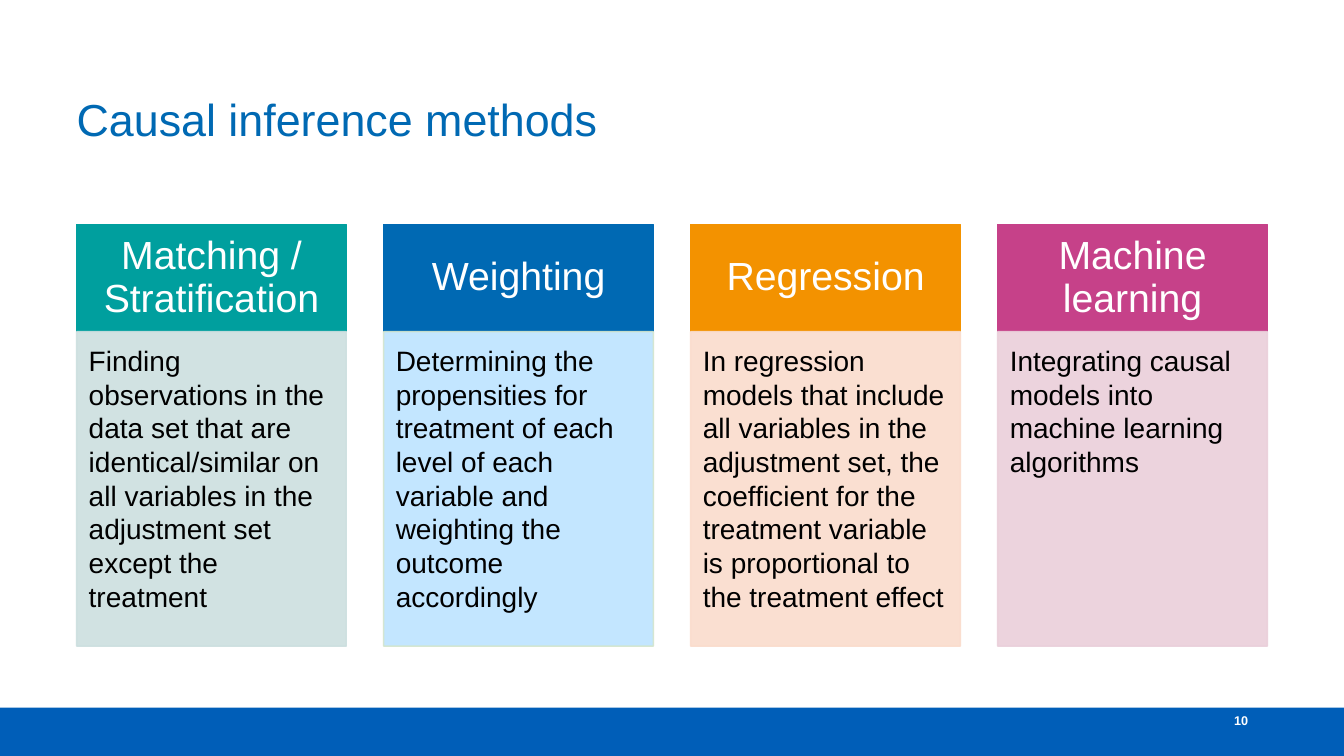
from dataclasses import dataclass
from lxml.etree import SubElement
from pptx import Presentation
from pptx.dml.color import RGBColor
from pptx.enum.shapes import MSO_SHAPE
from pptx.enum.text import MSO_ANCHOR, PP_ALIGN
from pptx.oxml.ns import qn
from pptx.util import Inches, Pt


@dataclass(frozen=True)
class Theme:
    font: str = "Arial"
    blue: str = "0069B3"
    bar: str = "005EB8"
    white: str = "FFFFFF"
    black: str = "000000"
    title: int = 32
    head: int = 28
    body: int = 20
    page: int = 9


THEME = Theme()
WIDE, HIGH = 13.33, 7.5
LEFT, SPAN = 0.76, 11.81
GAP = 0.37

# Head, head colour, body colour, body edge, body text
CARDS = [
    ("Matching / Stratification", "009F9E", "CCDFDF", "CCDFDF",
     "Finding observations in the data set that are identical/similar "
     "on all variables in the adjustment set except the treatment"),
    ("Weighting", THEME.blue, "BDE4FF", "D3E5CD",
     "Determining the propensities for treatment of each level of each "
     "variable and weighting the outcome accordingly"),
    ("Regression", "F39200", "FADCCC", "FADCCC",
     "In regression models that include all variables in the adjustment "
     "set, the coefficient for the treatment variable is proportional to "
     "the treatment effect"),
    ("Machine learning", "C64189", "EACFDA", "EACFDA",
     "Integrating causal models into machine learning algorithms"),
]


def tint(fill, color, alpha=100):
    fill.solid()
    fill.fore_color.rgb = RGBColor.from_string(color)
    if alpha < 100:
        for node in fill._xPr.iter(qn("a:srgbClr")):
            SubElement(node, qn("a:alpha"), val=str(alpha * 1000))


def block(slide, box, color, edge=None, alpha=100):
    shape = slide.shapes.add_shape(MSO_SHAPE.RECTANGLE, *map(Inches, box))
    shape.shadow.inherit = False
    tint(shape.fill, color, alpha)
    if edge:
        shape.line.width = Pt(1)
        tint(shape.line.fill, edge, alpha)
    else:
        shape.line.fill.background()
    return shape


def write(shape, text, size, color, bold=False, align=PP_ALIGN.LEFT,
          anchor=MSO_ANCHOR.TOP, inset=(0, 0, 0, 0), lead=1.0):
    frame = shape.text_frame
    frame.word_wrap = True
    frame.vertical_anchor = anchor
    (frame.margin_left, frame.margin_top,
     frame.margin_right, frame.margin_bottom) = map(Inches, inset)
    para = frame.paragraphs[0]
    para.alignment, para.line_spacing = align, lead
    run = para.add_run()
    run.text = text
    run.font.name, run.font.size, run.font.bold = THEME.font, Pt(size), bold
    run.font.color.rgb = RGBColor.from_string(color)


def label(slide, box, text, size, color, **form):
    area = slide.shapes.add_textbox(*map(Inches, box))
    write(area, text, size, color, **form)


def card(slide, box, head, color, pale, edge, body):
    x, y, w, h = box
    top = 1.06
    cap = block(slide, (x, y, w, top), color, color)
    write(cap, head, THEME.head, THEME.white, align=PP_ALIGN.CENTER,
          anchor=MSO_ANCHOR.MIDDLE, inset=(0.22, 0.12, 0.22, 0.12), lead=0.9)
    base = block(slide, (x, y + top, w, h - top), pale, edge, 90)
    write(base, body, THEME.body, THEME.black,
          inset=(0.12, 0.12, 0.14, 0.17))


def row(slide, box):
    x, y, w, h = box
    step = (w + GAP) / len(CARDS)
    for i, parts in enumerate(CARDS):
        card(slide, (x + i * step, y, step - GAP, h), *parts)


def footer(slide, box):
    x, y, w, h = box
    block(slide, box, THEME.bar)
    label(slide, (x + w - 1.39, y - 0.07, 0.74, 0.4), "10", THEME.page,
          THEME.white, bold=True, align=PP_ALIGN.CENTER,
          anchor=MSO_ANCHOR.MIDDLE)


def main():
    deck = Presentation()
    deck.slide_width, deck.slide_height = Inches(WIDE), Inches(HIGH)
    slide = deck.slides.add_slide(deck.slide_layouts[6])
    # Title
    label(slide, (LEFT, 0.97, SPAN, 1.15), "Causal inference methods",
          THEME.title, THEME.blue, lead=0.9)
    # Method cards
    row(slide, (LEFT, 2.23, SPAN, 4.18))
    # Footer bar and page number
    footer(slide, (0, 7.02, WIDE, 0.48))
    deck.save("out.pptx")


if __name__ == "__main__":
    main()
